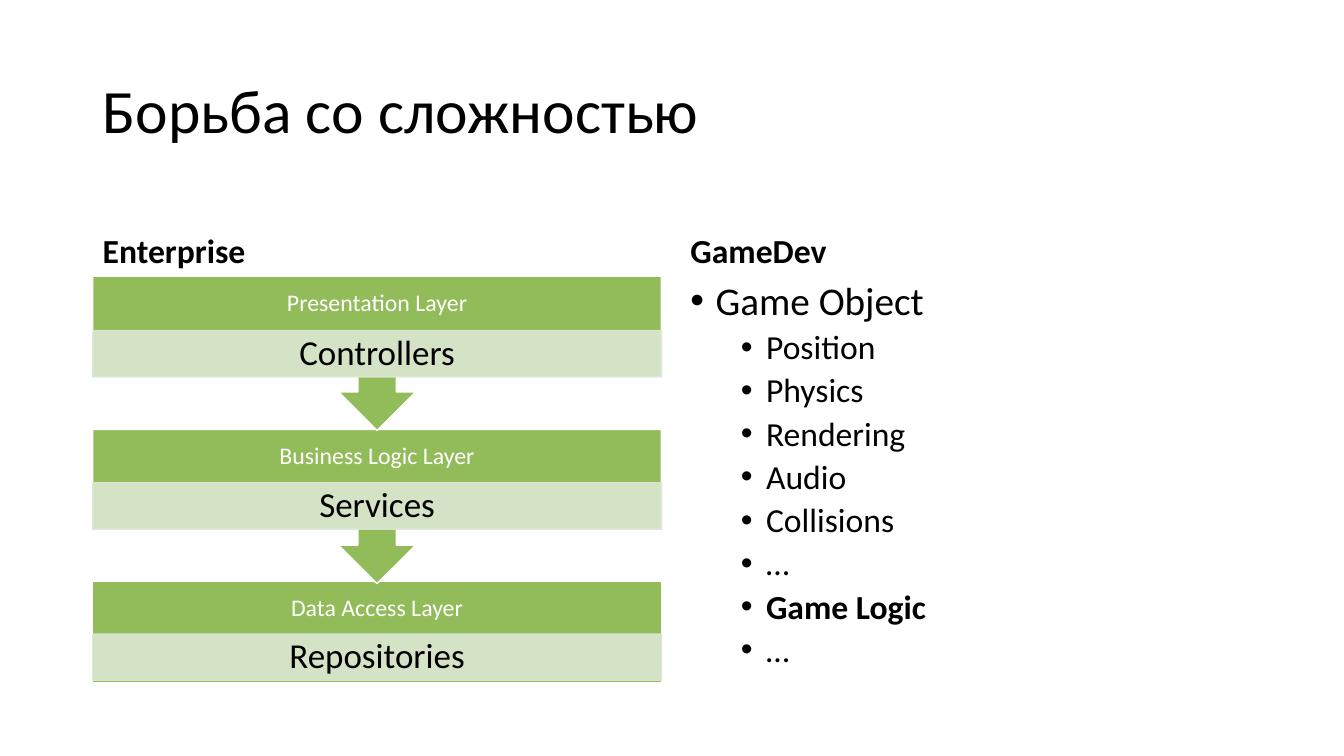
"""Build a slide comparing enterprise layers with game object components."""
import pptx
import pptx.dml.color
import pptx.enum.shapes
import pptx.enum.text
import pptx.oxml.ns
import pptx.util
import lxml.etree

Inches = pptx.util.Inches
Pt = pptx.util.Pt
Anchor = pptx.enum.text.MSO_ANCHOR
Align = pptx.enum.text.PP_ALIGN
Shape = pptx.enum.shapes.MSO_SHAPE
qn = pptx.oxml.ns.qn


def color(hex_value):
    return pptx.dml.color.RGBColor.from_string(hex_value)


def add_text(box, lines, size, anchor, hex_value="000000", align=Align.LEFT, bold=False):
    frame = slide.shapes.add_textbox(*map(Inches, box)).text_frame
    frame.word_wrap = True
    frame.vertical_anchor = anchor
    frame.text = "\n".join(lines)
    for paragraph in frame.paragraphs:
        paragraph.alignment = align
        paragraph.line_spacing = 0.9
        paragraph.font.name = "Calibri"
        paragraph.font.size = Pt(size)
        paragraph.font.bold = bold
        paragraph.font.color.rgb = color(hex_value)
    return frame


presentation = pptx.Presentation()
presentation.slide_width = Inches(13.33)
presentation.slide_height = Inches(7.5)
slide = presentation.slides.add_slide(presentation.slide_layouts[6])

LEFT, COLUMN_WIDTH = 0.92, 5.64
RIGHT, RIGHT_WIDTH = 6.75, 5.67

add_text((LEFT, 0.4, 11.5, 1.45), ["Борьба со сложностью"], 44, Anchor.MIDDLE)
add_text((LEFT, 1.84, COLUMN_WIDTH, 0.9), ["Enterprise"], 24, Anchor.BOTTOM, bold=True)
add_text((RIGHT, 1.84, RIGHT_WIDTH, 0.9), ["GameDev"], 24, Anchor.BOTTOM, bold=True)

components = ["Position", "Physics", "Rendering", "Audio", "Collisions", "…", "Game Logic", "…"]
game_object = add_text((RIGHT, 2.74, RIGHT_WIDTH, 4.03), ["Game Object"] + components, 24, Anchor.TOP)
for index, paragraph in enumerate(game_object.paragraphs):
    paragraph.level = min(index, 1)
    paragraph.space_before = Pt(5 if index else 10)
    paragraph.font.bold = paragraph.text == "Game Logic"
    properties = paragraph._p.get_or_add_pPr()
    properties.set("marL", str(Inches(0.75 if index else 0.25)))
    properties.set("indent", str(Inches(-0.25)))
    bullet_font = lxml.etree.Element(qn("a:buFont"), typeface="Arial")
    bullet = lxml.etree.Element(qn("a:buChar"), char="•")
    properties.find(qn("a:spcBef")).addnext(bullet_font)
    bullet_font.addnext(bullet)
game_object.paragraphs[0].font.size = Pt(28)

layers = [
    ("Data Access Layer", "Repositories", 5.77, 1, 0.52, Shape.RECTANGLE),
    ("Business Logic Layer", "Services", 4.26, 1.53, 0.53, Shape.UP_ARROW_CALLOUT),
    ("Presentation Layer", "Controllers", 2.74, 1.53, 0.54, Shape.UP_ARROW_CALLOUT),
]
BAND_HEIGHT = 0.46
for layer, content, top, height, band_offset, block_kind in layers:
    band_top = top + band_offset
    pieces = [
        (block_kind, top, height, "92BC5A", "FFFFFF"),
        (Shape.RECTANGLE, band_top, BAND_HEIGHT, "DCE7D2", "DCE7D2"),
    ]
    for kind, piece_top, piece_height, fill, line in pieces:
        shape = slide.shapes.add_shape(
            kind, Inches(LEFT), Inches(piece_top), Inches(COLUMN_WIDTH), Inches(piece_height))
        shape.shadow.inherit = False
        shape.fill.solid()
        shape.fill.fore_color.rgb = color(fill)
        shape.line.color.rgb = color(line)
        shape.line.width = Pt(1)
        if kind == Shape.UP_ARROW_CALLOUT:
            shape.rotation = 180
    for tint in shape.element.iter(qn("a:srgbClr")):
        lxml.etree.SubElement(tint, qn("a:alpha"), val="90000")

    add_text((LEFT, top, COLUMN_WIDTH, 0.54), [layer], 17, Anchor.MIDDLE, "FFFFFF", Align.CENTER)
    band_text = add_text(
        (LEFT, band_top, COLUMN_WIDTH, BAND_HEIGHT), [content], 25, Anchor.MIDDLE, align=Align.CENTER)
    band_text.margin_top = band_text.margin_bottom = Inches(0.03)

presentation.save("out.pptx")
